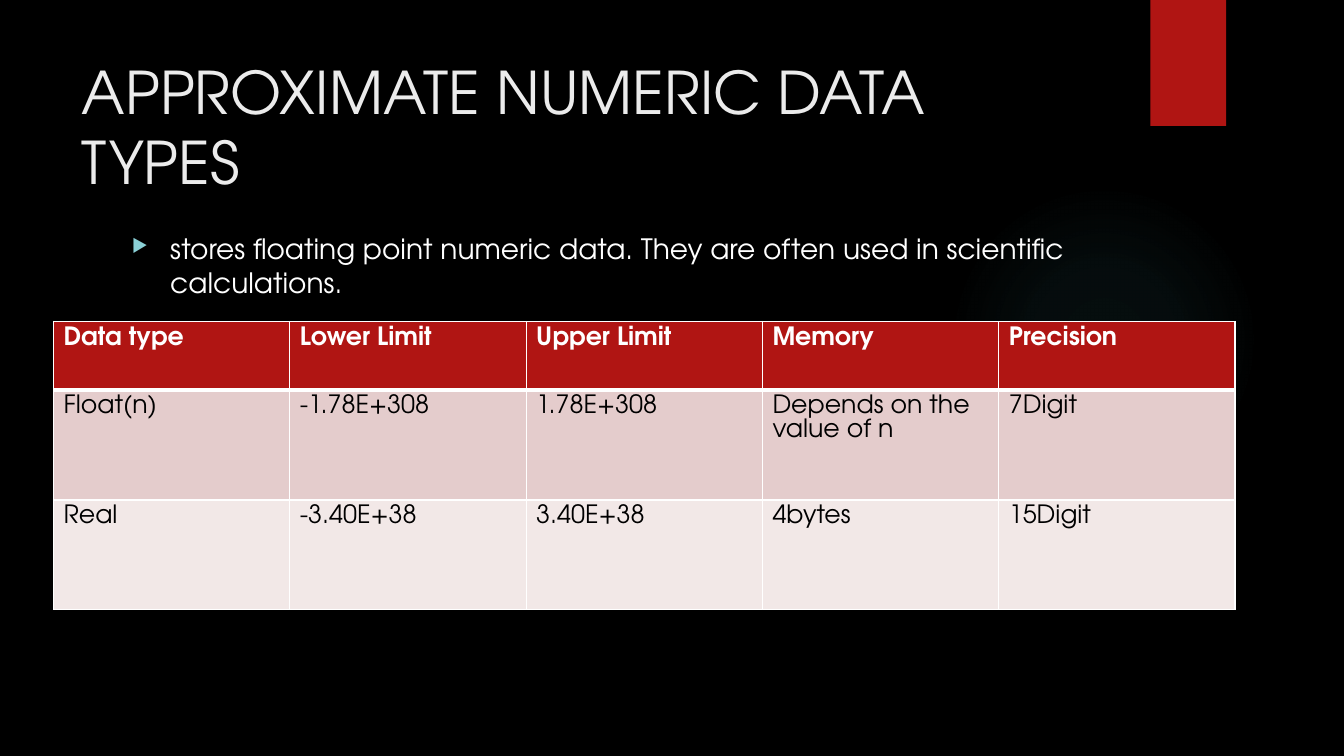
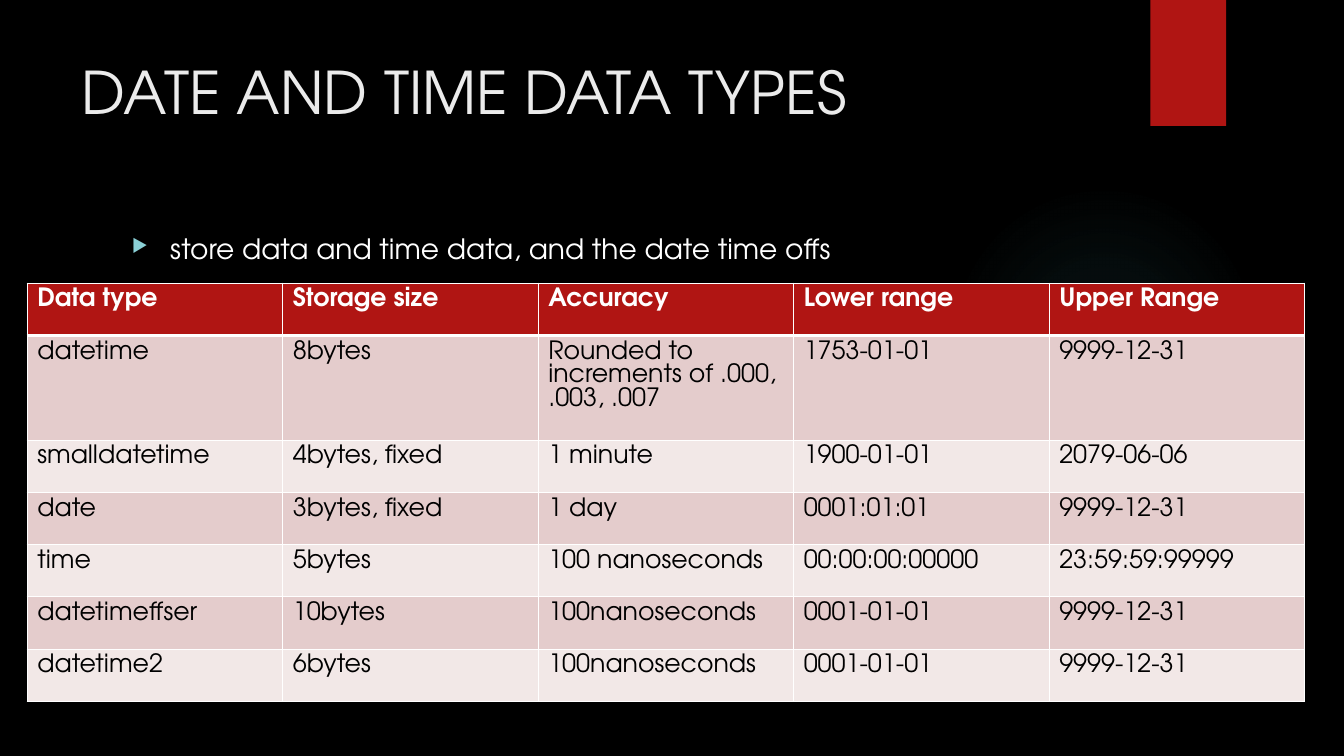
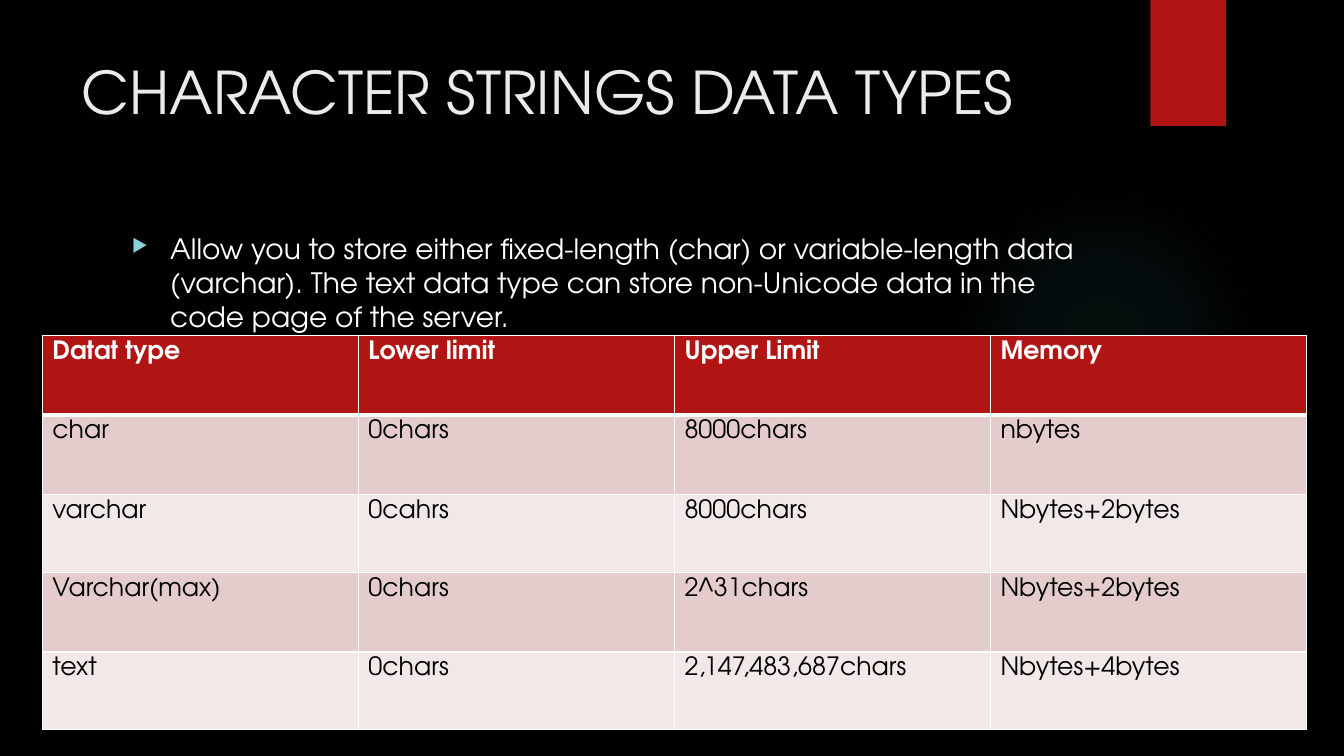
from lxml import etree
from pptx import Presentation
from pptx.dml.color import RGBColor
from pptx.enum.shapes import MSO_SHAPE
from pptx.enum.text import MSO_ANCHOR, MSO_AUTO_SIZE, PP_ALIGN
from pptx.oxml import parse_xml
from pptx.oxml.ns import nsdecls, qn
from pptx.util import Inches, Pt

OVAL, RECT = MSO_SHAPE.OVAL, MSO_SHAPE.RECTANGLE
TOP, LEFT, NO_FIT = MSO_ANCHOR.TOP, PP_ALIGN.LEFT, MSO_AUTO_SIZE.NONE

SLIDE_W, SLIDE_H = Inches(13.33), Inches(7.5)
FONT = "TeX Gyre Adventor"
COLORS = {
    "background": "000000",
    "title": "EBEBEB",
    "body": "FFFFFF",
    "cell": "000000",
    "red": "B01513",
    "band_dark": "E4CCCC",
    "band_light": "F2E8E7",
    "border": "FFFFFF",
    "bullet": "8AD0D6",
    "glow": "50B9C1",
}
GLOW_STOPS = [(0, 7), (36, 6), (69, 0)]

TITLE_BOX = (5.33, 6.67, 77.2, 20.4)
BODY_BOX = (9.08, 30, 73.37, 61.2)
GLOW_BOX = (70.59, 24.4, 23.11, 41.07)
TAB_BOX = (85.6, 0, 5.63, 16.67)

SLIDES = [
    {
        "title": "APPROXIMATE NUMERIC DATA TYPES",
        "body": "stores floating point numeric data. They are often used in scientific calculations.",
        "box": (3.98, 42.53, 87.92, 38.13),
        "weights": [68, 109, 109],
        "rows": [
            ["Data type", "Lower Limit", "Upper Limit", "Memory", "Precision"],
            ["Float(n)", "-1.78E+308", "1.78E+308", "Depends on the value of n", "7Digit"],
            ["Real", "-3.40E+38", "3.40E+38", "4bytes", "15Digit"],
        ],
    },
    {
        "title": "DATE AND TIME DATA TYPES",
        "body": "store data and time data, and the date time offs",
        "box": (2.03, 37.47, 95.05, 55.33),
        "weights": [1, 2, 1, 1, 1, 1, 1],
        "rows": [
            ["Data type", "Storage size", "Accuracy", "Lower range", "Upper Range"],
            ["datetime", "8bytes", "Rounded to increments of .000, .003, .007", "1753-01-01", "9999-12-31"],
            ["smalldatetime", "4bytes, fixed", "1 minute", "1900-01-01", "2079-06-06"],
            ["date", "3bytes, fixed", "1 day", "0001:01:01", "9999-12-31"],
            ["time", "5bytes", "100 nanoseconds", "00:00:00:00000", "23:59:59:99999"],
            ["datetimeffser", "10bytes", "100nanoseconds", "0001-01-01", "9999-12-31"],
            ["datetime2", "6bytes", "100nanoseconds", "0001-01-01", "9999-12-31"],
        ],
    },
    {
        "title": "CHARACTER STRINGS DATA TYPES",
        "body": "Allow you to store either fixed-length (char) or variable-length data (varchar). "
                "The text data type can store non-Unicode data in the code page of the server.",
        "box": (3.15, 44.4, 94.07, 52.13),
        "weights": [79, 79, 77, 79, 77],
        "rows": [
            ["Datat type", "Lower limit", "Upper Limit", "Memory"],
            ["char", "0chars", "8000chars", "nbytes"],
            ["varchar", "0cahrs", "8000chars", "Nbytes+2bytes"],
            ["Varchar(max)", "0chars", "2^31chars", "Nbytes+2bytes"],
            ["text", "0chars", "2,147,483,687chars", "Nbytes+4bytes"],
        ],
    },
]


def rgb(name):
    return RGBColor.from_string(COLORS[name])


def percent(box):
    x, y, w, h = box
    return (int(SLIDE_W * x / 100), int(SLIDE_H * y / 100),
            int(SLIDE_W * w / 100), int(SLIDE_H * h / 100))


def add_run(p, text, size, color, bold=False):
    r = p.add_run()
    r.text = text
    r.font.name = FONT
    r.font.size = Pt(size)
    r.font.bold = bold
    r.font.color.rgb = rgb(color)


def prepare_frame(tf):
    tf.word_wrap = True
    tf.auto_size = NO_FIT
    tf.vertical_anchor = TOP
    p = tf.paragraphs[0]
    p.alignment = LEFT
    return p


def add_plain_shape(slide, kind, box):
    sp = slide.shapes.add_shape(kind, *percent(box))
    sp.shadow.inherit = False
    sp.line.fill.background()
    sp.fill.solid()
    sp.fill.fore_color.rgb = rgb("red")
    return sp


def add_glow(slide):
    sp = add_plain_shape(slide, OVAL, GLOW_BOX)
    stops = "".join(
        f'<a:gs pos="{pos * 1000}"><a:srgbClr val="{COLORS["glow"]}">'
        f'<a:alpha val="{alpha * 1000}"/></a:srgbClr></a:gs>'
        for pos, alpha in GLOW_STOPS)
    grad = parse_xml(
        f'<a:gradFill {nsdecls("a")} rotWithShape="1"><a:gsLst>{stops}</a:gsLst>'
        '<a:path path="circle"><a:fillToRect l="50000" t="50000" r="50000" b="50000"/>'
        '</a:path></a:gradFill>')
    solid = sp.element.spPr.find(qn("a:solidFill"))
    solid.getparent().replace(solid, grad)


def set_title(slide, text):
    sp = slide.shapes.title
    sp.left, sp.top, sp.width, sp.height = percent(TITLE_BOX)
    add_run(prepare_frame(sp.text_frame), text, 42, "title")


def add_bullet_text(slide, text):
    sp = slide.shapes.add_textbox(*percent(BODY_BOX))
    p = prepare_frame(sp.text_frame)
    p.space_before = Pt(10)
    add_run(p, text, 20, "body")
    pPr = p._p.get_or_add_pPr()
    pPr.set("marL", str(Inches(0.38)))
    pPr.set("indent", str(-Inches(0.38)))
    color = etree.SubElement(pPr, qn("a:buClr"))
    etree.SubElement(color, qn("a:srgbClr"), val=COLORS["bullet"])
    etree.SubElement(pPr, qn("a:buSzPct"), val="65000")
    etree.SubElement(pPr, qn("a:buChar"), char="▶")


def set_borders(cell, top, bottom):
    tcPr = cell._tc.get_or_add_tcPr()
    sides = [("L", 1), ("R", 1), ("T", top), ("B", bottom)]
    for i, (side, width) in enumerate(sides):
        tcPr.insert(i, parse_xml(
            f'<a:ln{side} {nsdecls("a")} w="{Pt(width)}"><a:solidFill>'
            f'<a:srgbClr val="{COLORS["border"]}"/></a:solidFill></a:ln{side}>'))


def fill_cell(cell, text, row):
    header = row == 0
    fill = "red" if header else "band_dark" if row % 2 else "band_light"
    cell.fill.solid()
    cell.fill.fore_color.rgb = rgb(fill)
    set_borders(cell, 3 if row == 1 else 1, 3 if header else 1)
    p = cell.text_frame.paragraphs[0]
    add_run(p, text, 18, "body" if header else "cell", header)


def add_data_table(slide, rows, box, weights):
    x, y, w, h = percent(box)
    cols = len(rows[0])
    table = slide.shapes.add_table(len(rows), cols, x, y, w, h).table
    table.horz_banding = False
    for column in table.columns:
        column.width = w // cols
    for i, values in enumerate(rows):
        table.rows[i].height = h * weights[i] // sum(weights)
        for j, text in enumerate(values):
            fill_cell(table.cell(i, j), text, i)


def main():
    prs = Presentation()
    prs.slide_width, prs.slide_height = SLIDE_W, SLIDE_H
    background = prs.slide_master.background.fill
    background.solid()
    background.fore_color.rgb = rgb("background")
    title_only = prs.slide_layouts[5]
    for content in SLIDES:
        slide = prs.slides.add_slide(title_only)
        add_glow(slide)
        add_plain_shape(slide, RECT, TAB_BOX)
        set_title(slide, content["title"])
        add_bullet_text(slide, content["body"])
        add_data_table(slide, content["rows"], content["box"], content["weights"])
    prs.save("out.pptx")


if __name__ == "__main__":
    main()
